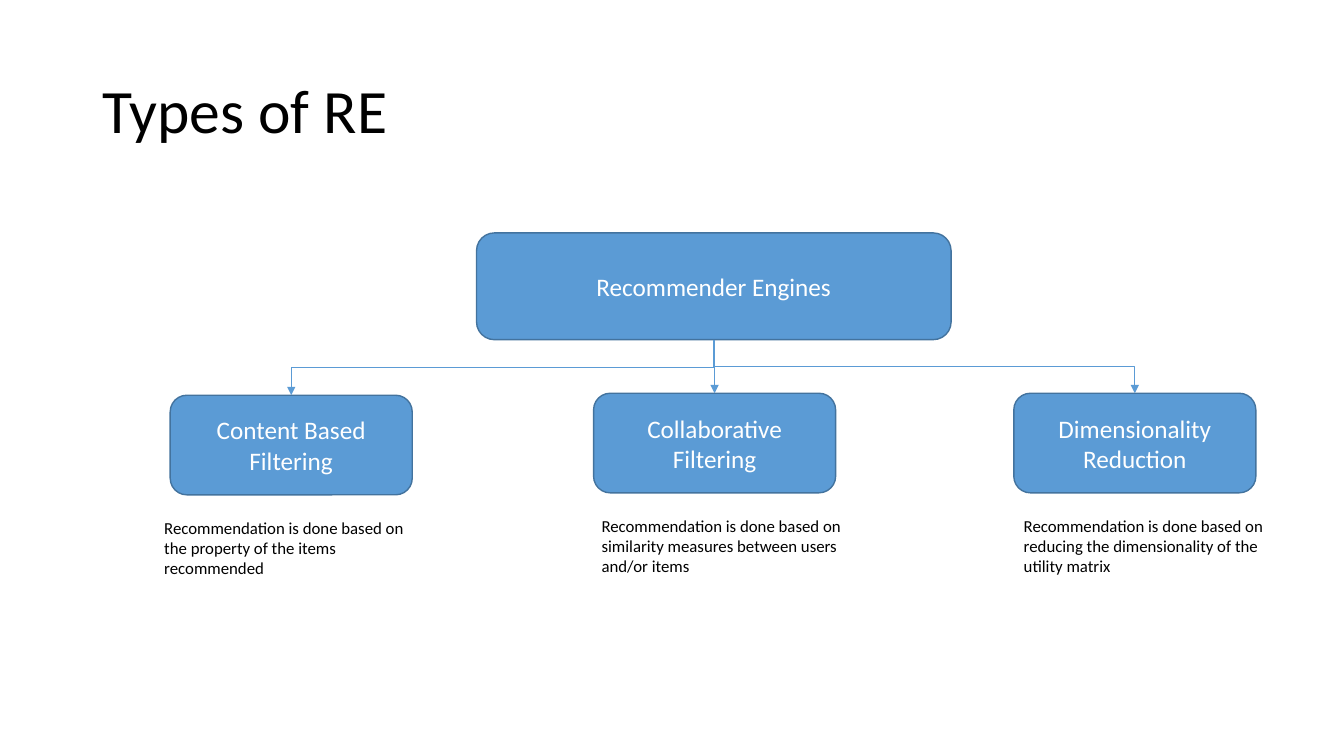
import pptx
import pptx.util
import pptx.dml.color
import pptx.enum.shapes
import pptx.enum.text
import pptx.oxml.ns
import lxml.etree

Cm, Pt = pptx.util.Cm, pptx.util.Pt
RGB = pptx.dml.color.RGBColor
ALIGN = pptx.enum.text.PP_ALIGN
MIDDLE = pptx.enum.text.MSO_ANCHOR.MIDDLE
qn = pptx.oxml.ns.qn

# Content: name, note, box left, box top, note left (cm)
TITLE = "Types of RE"
ROOT = "Recommender Engines"
TYPES = [
    ("Content Based Filtering",
     "Recommendation is done based on the property of the items recommended",
     4.29, 9.96, 3.89),
    ("Collaborative Filtering",
     "Recommendation is done based on similarity measures between users and/or items",
     14.96, 9.91, 14.91),
    ("Dimensionality Reduction",
     "Recommendation is done based on reducing the dimensionality of the utility matrix",
     25.55, 9.91, 25.55),
]
BOX_W, BOX_H = 6.1, 2.51
NOTE_W, NOTE_H, NOTE_DROP = 7.01, 1.8, 2.95

BLUE = RGB(0x5B, 0x9B, 0xD5)
EDGE = RGB(0x43, 0x73, 0x9E)
BLACK = RGB(0, 0, 0)
WHITE = RGB(255, 255, 255)

deck = pptx.Presentation()
deck.slide_width, deck.slide_height = Cm(33.87), Cm(19.05)
slide = deck.slides.add_slide(deck.slide_layouts[5])
shapes = slide.shapes


def write(shape, text, size, color, align):
    frame = shape.text_frame
    frame.word_wrap = True
    frame.text = text
    para = frame.paragraphs[0]
    para.alignment = align
    font = para.runs[0].font
    font.name, font.size, font.color.rgb = "Calibri", Pt(size), color
    return frame


def add_box(text, left, top, width, height):
    kind = pptx.enum.shapes.MSO_SHAPE.ROUNDED_RECTANGLE
    box = shapes.add_shape(kind, Cm(left), Cm(top), Cm(width), Cm(height))
    box.shadow.inherit = False
    box.fill.solid()
    box.fill.fore_color.rgb = BLUE
    box.line.color.rgb = EDGE
    box.line.width = Pt(1)
    write(box, text, 18, WHITE, ALIGN.CENTER).vertical_anchor = MIDDLE
    return box


def add_arrow(start, end):
    """Elbow from the bottom of one box to the top of another."""
    x1, y1 = start.left + start.width // 2, start.top + start.height
    x2, y2 = end.left + end.width // 2, end.top
    kind = pptx.enum.shapes.MSO_CONNECTOR.ELBOW
    arrow = shapes.add_connector(kind, x1, y1, x2, y2)
    arrow.begin_connect(start, 2)
    arrow.end_connect(end, 0)
    # A quarter turn makes the elbow leave and arrive vertically
    arrow.width, arrow.height = y2 - y1, abs(x2 - x1)
    arrow.left = (x1 + x2 - arrow.width) // 2
    arrow.top = (y1 + y2 - arrow.height) // 2
    props = arrow._element.spPr
    frame = props.find(qn("a:xfrm"))
    goes_left = x2 < x1
    frame.set("rot", "5400000" if goes_left else "16200000")
    frame.set("flipH", "0" if goes_left else "1")
    arrow.line.color.rgb = BLUE
    arrow.line.width = Pt(0.5)
    tip = lxml.etree.SubElement(props.find(qn("a:ln")), qn("a:tailEnd"))
    tip.set("type", "triangle")
    lxml.etree.SubElement(props, qn("a:effectLst"))


# Title
title = shapes.title
title.left, title.top = Cm(2.33), Cm(1.02)
title.width, title.height = Cm(29.21), Cm(3.68)
frame = write(title, TITLE, 44, BLACK, ALIGN.LEFT)
frame.vertical_anchor = MIDDLE
frame.paragraphs[0].line_spacing = 0.9

# Tree of engine types with notes
root = add_box(ROOT, 12.01, 5.87, 11.96, 2.69)
for name, note, left, top, note_left in TYPES:
    box = add_box(name, left, top, BOX_W, BOX_H)
    text = shapes.add_textbox(Cm(note_left), Cm(top + NOTE_DROP),
                              Cm(NOTE_W), Cm(NOTE_H))
    write(text, note, 12, BLACK, ALIGN.LEFT)
    add_arrow(root, box)

deck.save("out.pptx")
